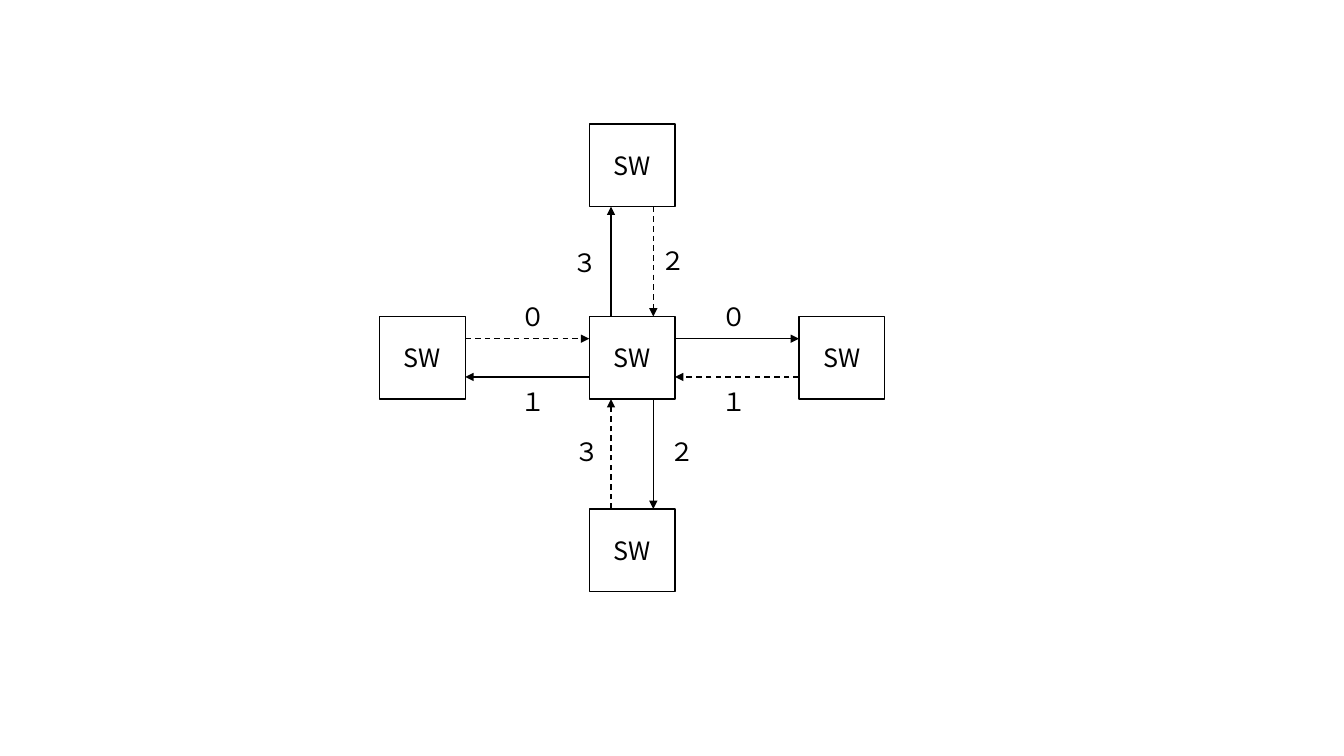
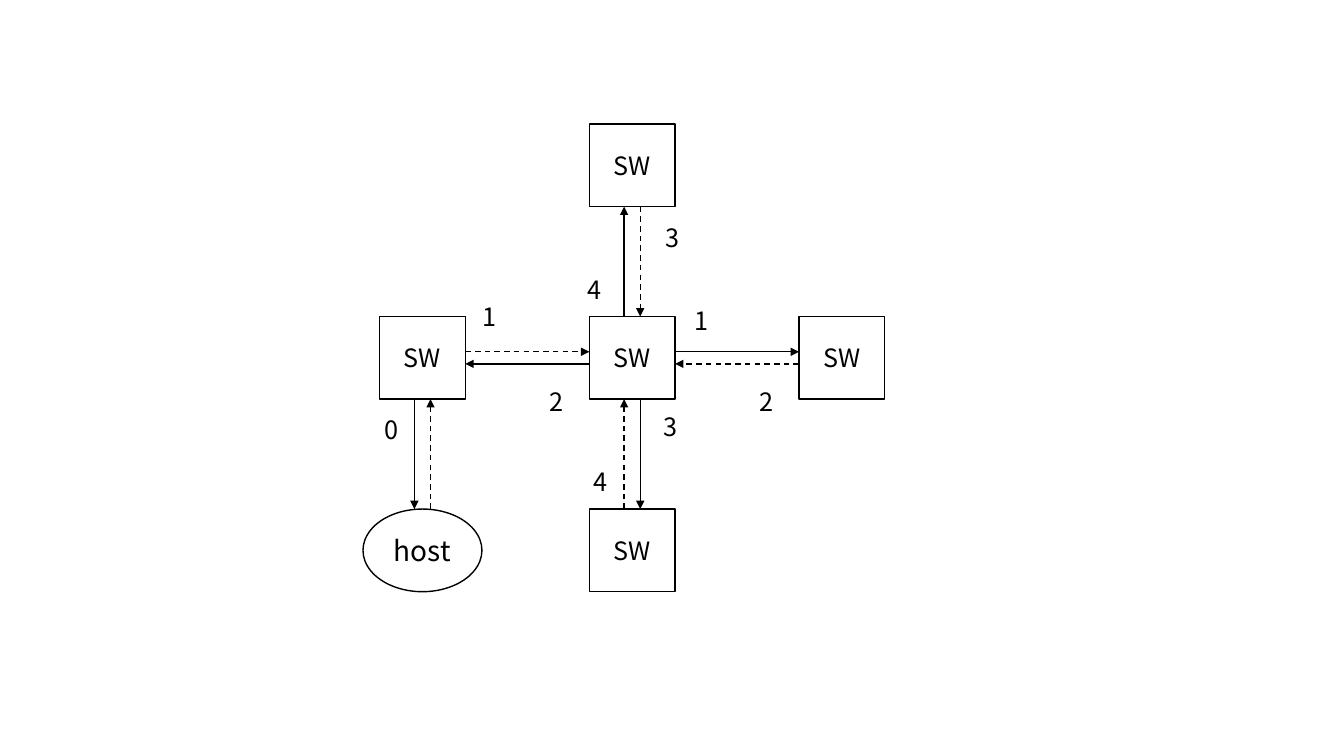
import dataclasses

import lxml.etree
import pptx
import pptx.dml.color
import pptx.enum.dml
import pptx.enum.shapes
import pptx.enum.text
import pptx.oxml.ns
import pptx.util

Inches = pptx.util.Inches
Pt = pptx.util.Pt
qn = pptx.oxml.ns.qn
Kind = pptx.enum.shapes.MSO_SHAPE
Align = pptx.enum.text.PP_ALIGN


@dataclasses.dataclass(frozen=True)
class Theme:
    ink = pptx.dml.color.RGBColor(0, 0, 0)
    font = "Noto Sans CJK JP"
    text = 18
    host = 20
    line = 1


# Grid: (0, 0) is the central switch, one step leads to its neighbour
WIDE, HIGH = 13.33, 7.5
MID = (6.27, 3.55)
STEP = (2.08, 1.91)
BOX = (0.85, 0.82)
OVAL = (1.18, 0.82)
TAG = (0.49, 0.4)
SIDES = [(0, -1), (1, 0), (0, 1), (-1, 0)]
WEST = (-1, 0)
HOST = (-1, 1)


def write(shape, text, size, align):
    frame = shape.text_frame
    frame.word_wrap = True
    para = frame.paragraphs[0]
    para.text = text
    para.alignment = align
    para.font.size = Pt(size)
    para.font.color.rgb = Theme.ink
    para.font.name = Theme.font
    props = para._p.find(".//" + qn("a:defRPr"))
    lxml.etree.SubElement(props, qn("a:ea")).set("typeface", Theme.font)


def place(col, row):
    return MID[0] + col * STEP[0], MID[1] + row * STEP[1]


# Per slide: lane distance from the axis, host or not, tags (text, column, row)
pages = [
    ((0.21, 0.19), False, [
        ("０", 0.38, -0.32), ("１", -0.58, 0.12),
        ("２", 0.13, 0.38), ("３", -0.33, -0.6),
        ("０", -0.58, -0.32), ("１", 0.38, 0.12),
        ("２", 0.09, -0.61), ("３", -0.32, 0.38),
    ]),
    ((0.08, 0.06), True, [
        ("1", 0.25, -0.3), ("2", -0.44, 0.12),
        ("3", 0.1, 0.25), ("4", -0.26, -0.46),
        ("1", -0.76, -0.32), ("2", 0.56, 0.12),
        ("3", 0.11, -0.73), ("4", -0.23, 0.54),
        ("0", -1.23, 0.27),
    ]),
]

deck = pptx.Presentation()
deck.slide_width = Inches(WIDE)
deck.slide_height = Inches(HIGH)

for lane, has_host, tags in pages:
    slide = deck.slides.add_slide(deck.slide_layouts[6])

    nodes = [(Kind.RECTANGLE, cell, BOX, "SW", Theme.text)
             for cell in [(0, 0)] + SIDES]
    # Link: start cell, direction, side of the axis for the solid arrow
    links = [((0, 0), side, 1) for side in SIDES]
    if has_host:
        nodes.append((Kind.OVAL, HOST, OVAL, "host", Theme.host))
        links.append((WEST, (0, 1), -1))

    for kind, cell, (wide, high), text, size in nodes:
        x, y = place(*cell)
        node = slide.shapes.add_shape(
            kind, Inches(x - wide / 2), Inches(y - high / 2),
            Inches(wide), Inches(high))
        node.shadow.inherit = False
        node.fill.background()
        node.line.color.rgb = Theme.ink
        node.line.width = Pt(Theme.line)
        write(node, text, size, Align.CENTER)

    for cell, (dx, dy), turn in links:
        x, y = place(*cell)
        near = (x + dx * BOX[0] / 2, y + dy * BOX[1] / 2)
        far = (x + dx * (STEP[0] - BOX[0] / 2),
               y + dy * (STEP[1] - BOX[1] / 2))
        for start, end, sign, dashed in [(near, far, turn, False),
                                         (far, near, -turn, True)]:
            shift = (sign * dy * lane[0], -sign * dx * lane[1])
            ends = [Inches(p + s) for point in (start, end)
                    for p, s in zip(point, shift)]
            arrow = slide.shapes.add_connector(
                pptx.enum.shapes.MSO_CONNECTOR.STRAIGHT, *ends)
            arrow.line.color.rgb = Theme.ink
            arrow.line.width = Pt(Theme.line)
            if dashed:
                arrow.line.dash_style = pptx.enum.dml.MSO_LINE.DASH
            props = arrow._element.spPr
            tip = lxml.etree.SubElement(props.find(qn("a:ln")), qn("a:tailEnd"))
            tip.set("type", "triangle")
            lxml.etree.SubElement(props, qn("a:effectLst"))

    for text, col, row in tags:
        tag = slide.shapes.add_textbox(*map(Inches, place(col, row) + TAG))
        tag.text_frame.auto_size = pptx.enum.text.MSO_AUTO_SIZE.SHAPE_TO_FIT_TEXT
        write(tag, text, Theme.text, Align.LEFT)

deck.save("out.pptx")
